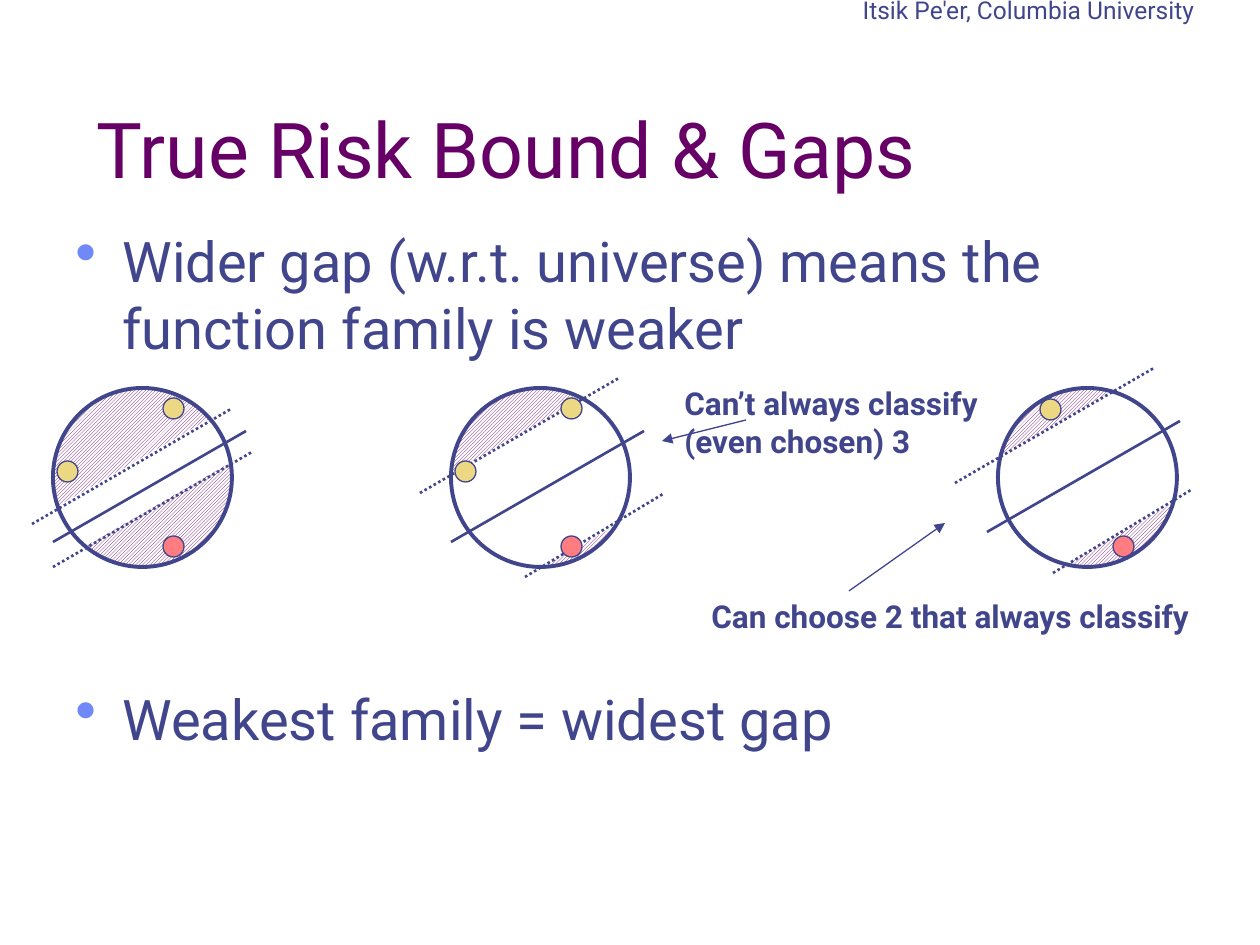
"""Build the slide on true risk bounds, gaps and function families."""
import pptx
import pptx.dml.color
import pptx.enum.dml
import pptx.enum.shapes
import pptx.enum.text
import pptx.oxml.ns
import pptx.util
from lxml import etree

RGBColor = pptx.dml.color.RGBColor
SHAPES = pptx.enum.shapes.MSO_SHAPE
ANCHOR = pptx.enum.text.MSO_ANCHOR
ALIGN = pptx.enum.text.PP_ALIGN

INK = RGBColor(0x40, 0x45, 0x8C)
PURPLE = RGBColor(0x66, 0x00, 0x66)
WHITE = RGBColor(0xFF, 0xFF, 0xFF)
YELLOW = RGBColor(0xEC, 0xD8, 0x82)
RED = RGBColor(0xFF, 0x7C, 0x80)
BULLET = RGBColor(0x6F, 0x89, 0xF7)
FONT = "Roboto"
SCALE = 914400 / 126

TITLE = "True Risk Bound & Gaps"
HEADER = "Itsik Pe'er, Columbia University"
BULLETS = [
    ("Wider gap (w.r.t. universe) means the function family is weaker", 6),
    ("Weakest family = widest gap", 185),
]
NOTES = [
    ("Can’t always classify\v(even chosen) 3", (672, 378, 355, 89)),
    ("Can choose 2 that always classify", (699, 591, 568, 50)),
]
ARROWS = [((746, 420), (662, 441)), ((849, 591), (945, 523))]

CIRCLE_TOP, CIRCLE_SIZE, DOT_SIZE, BAND_WIDTH = 388, 179, 21, 199
SOLID_RUN, LONG_RUN, SHORT_RUN = (193, -111), (199, -115), (138, -83)
THREE_POINTS = [(4, 73, YELLOW), (110, 148, RED), (110, 10, YELLOW)]
TWO_POINTS = [(110 + 5, 148, RED), (42, 11, YELLOW)]
DIAGRAMS = [
    {"left": 53, "band": (0, 68, 47), "solid": (0, 154),
     "dotted": [((0, 179), LONG_RUN), ((-21, 136), LONG_RUN)], "points": THREE_POINTS},
    {"left": 451, "band": (1, 38, 126), "solid": (0, 154),
     "dotted": [((74, 189), SHORT_RUN), ((-31, 105), LONG_RUN)], "points": THREE_POINTS},
    {"left": 998, "band": (-10, 28, 126), "solid": (-11, 144),
     "dotted": [((55, 185), SHORT_RUN), ((-43, 95), LONG_RUN)], "points": TWO_POINTS},
]


def px(length):
    return pptx.util.Emu(round(length * SCALE))


def style(para, size, color, bold=False):
    for span in para.runs:
        span.font.name = FONT
        span.font.size = pptx.util.Pt(size)
        span.font.color.rgb = color
        span.font.bold = bold


def add_text(slide, area, text, size, bold=False, wrap=True):
    box = slide.shapes.add_textbox(*map(px, area))
    frame = box.text_frame
    frame.word_wrap = wrap
    frame.text = text
    style(frame.paragraphs[0], size, INK, bold)
    return frame


def add_bullet(para, text, gap):
    para.text = text
    para.space_before = pptx.util.Pt(gap)
    style(para, 32, INK)
    properties = para._p.get_or_add_pPr()
    properties.set("marL", str(px(47)))
    properties.set("indent", str(px(-47)))
    qn = pptx.oxml.ns.qn
    color = etree.SubElement(properties, qn("a:buClr"))
    etree.SubElement(color, qn("a:srgbClr"), val=str(BULLET))
    etree.SubElement(properties, qn("a:buSzPct"), val="110000")
    etree.SubElement(properties, qn("a:buChar"), char="•")


def add_shape(slide, kind, area, fill=None, line=None, width=0.75):
    shape = slide.shapes.add_shape(kind, *map(px, area))
    shape.shadow.inherit = False
    if fill is None:
        shape.fill.background()
    else:
        shape.fill.solid()
        shape.fill.fore_color.rgb = fill
    if line is None:
        shape.line.fill.background()
    else:
        shape.line.color.rgb = line
        shape.line.width = pptx.util.Pt(width)
    return shape


def add_line(slide, start, end, width=1.5, dotted=False, arrow=False):
    line = slide.shapes.add_connector(
        pptx.enum.shapes.MSO_CONNECTOR.STRAIGHT, *map(px, (*start, *end)))
    line.line.color.rgb = INK
    line.line.width = pptx.util.Pt(width)
    if dotted:
        line.line.dash_style = pptx.enum.dml.MSO_LINE.ROUND_DOT
    qn = pptx.oxml.ns.qn
    if arrow:
        etree.SubElement(line.line._get_or_add_ln(), qn("a:tailEnd"), type="triangle")
    etree.SubElement(line._element.spPr, qn("a:effectLst"))


def add_diagram(slide, diagram):
    left = diagram["left"]
    circle = (left, CIRCLE_TOP, CIRCLE_SIZE, CIRCLE_SIZE)

    universe = add_shape(slide, SHAPES.OVAL, circle)
    universe.fill.patterned()
    universe.fill.pattern = pptx.enum.dml.MSO_PATTERN.LIGHT_UPWARD_DIAGONAL
    universe.fill.fore_color.rgb = PURPLE
    universe.fill.back_color.rgb = WHITE

    x, y, height = diagram["band"]
    gap = add_shape(slide, SHAPES.RECTANGLE,
                    (left + x, CIRCLE_TOP + y, BAND_WIDTH, height), WHITE, WHITE)
    gap.rotation = 330

    lines = [(diagram["solid"], SOLID_RUN, False)]
    lines += [(start, run, True) for start, run in diagram["dotted"]]
    for (x, y), (across, down), dotted in lines:
        start = (left + x, CIRCLE_TOP + y)
        add_line(slide, start, (start[0] + across, start[1] + down), dotted=dotted)

    for x, y, color in diagram["points"]:
        add_shape(slide, SHAPES.OVAL,
                  (left + x, CIRCLE_TOP + y, DOT_SIZE, DOT_SIZE), color, INK)
    add_shape(slide, SHAPES.OVAL, circle, line=INK, width=2.25)


def main():
    deck = pptx.Presentation()
    deck.slide_width, deck.slide_height = px(1260), px(945)
    slide = deck.slides.add_slide(deck.slide_layouts[5])

    title = slide.shapes.title
    title.left, title.top, title.width, title.height = map(px, (84, 42, 1071, 158))
    title.text_frame.text = TITLE
    title.text_frame.auto_size = pptx.enum.text.MSO_AUTO_SIZE.NONE
    title.text_frame.vertical_anchor = ANCHOR.BOTTOM
    title.text_frame.paragraphs[0].alignment = ALIGN.LEFT
    style(title.text_frame.paragraphs[0], 44, PURPLE)

    body = add_text(slide, (63, 220, 1166, 609), "", 32)
    for index, (text, gap) in enumerate(BULLETS):
        para = body.add_paragraph() if index else body.paragraphs[0]
        add_bullet(para, text, gap)

    header = add_text(slide, (829, -32, 399, 63), HEADER, 14)
    header.vertical_anchor = ANCHOR.BOTTOM
    header.paragraphs[0].alignment = ALIGN.CENTER

    for diagram in DIAGRAMS:
        add_diagram(slide, diagram)
    for text, area in NOTES:
        add_text(slide, area, text, 18, bold=True, wrap=False)
    for start, end in ARROWS:
        add_line(slide, start, end, width=0.75, arrow=True)

    deck.save("out.pptx")


if __name__ == "__main__":
    main()
